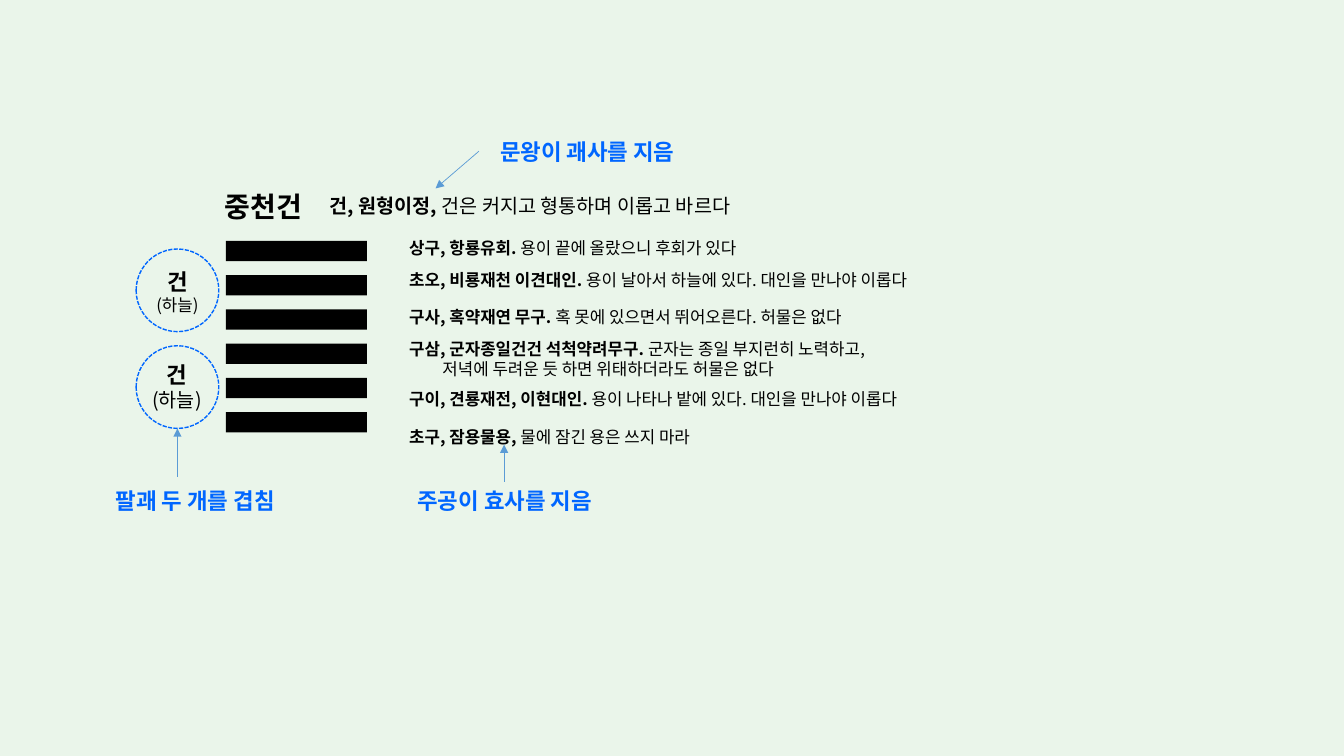
from lxml import etree
from pptx import Presentation
from pptx.dml.color import RGBColor
from pptx.enum.dml import MSO_LINE
from pptx.enum.shapes import MSO_CONNECTOR, MSO_SHAPE
from pptx.enum.text import MSO_AUTO_SIZE, PP_ALIGN
from pptx.oxml.ns import qn
from pptx.util import Inches, Pt

RECTANGLE, OVAL = MSO_SHAPE.RECTANGLE, MSO_SHAPE.OVAL
STRAIGHT = MSO_CONNECTOR.STRAIGHT
DASH = MSO_LINE.SQUARE_DOT
GROW = MSO_AUTO_SIZE.SHAPE_TO_FIT_TEXT
LEFT, CENTER = PP_ALIGN.LEFT, PP_ALIGN.CENTER

BLACK = RGBColor(0x00, 0x00, 0x00)
BLUE = RGBColor(0x00, 0x66, 0xFF)
ARROW_BLUE = RGBColor(0x5B, 0x9B, 0xD5)
PALE_GREEN = RGBColor(0xEA, 0xF5, 0xEA)


class HexagramSlide:
    font_name = "Noto Sans CJK KR"
    line_height = 1.2

    def __init__(self, slide):
        self.slide = slide
        slide.background.fill.solid()
        slide.background.fill.fore_color.rgb = PALE_GREEN

    def bar(self, left, top, width, height):
        bar = self.slide.shapes.add_shape(
            RECTANGLE, Inches(left), Inches(top), Inches(width), Inches(height))
        bar.shadow.inherit = False
        bar.fill.solid()
        bar.fill.fore_color.rgb = BLACK
        bar.line.fill.background()

    def ring(self, left, top, diameter):
        ring = self.slide.shapes.add_shape(
            OVAL, Inches(left), Inches(top), Inches(diameter), Inches(diameter))
        ring.shadow.inherit = False
        ring.fill.background()
        ring.line.color.rgb = BLUE
        ring.line.width = Pt(1)
        ring.line.dash_style = DASH

    def text(self, left, top, width, height, lines, color=BLACK, align=LEFT, indent=0):
        """Write lines of (text, size, bold) runs; indent applies after the first line."""
        box = self.slide.shapes.add_textbox(
            Inches(left), Inches(top), Inches(width), Inches(height))
        frame = box.text_frame
        frame.word_wrap = True
        frame.auto_size = GROW
        for number, runs in enumerate(lines):
            paragraph = frame.add_paragraph() if number else frame.paragraphs[0]
            paragraph.alignment = align
            paragraph.line_spacing = Pt(self.line_height * runs[0][1])
            if number and indent:
                paragraph._p.get_or_add_pPr().set("marL", str(Inches(indent)))
            for words, size, bold in runs:
                run = paragraph.add_run()
                run.text = words
                run.font.name = self.font_name
                run.font.size = Pt(size)
                run.font.bold = bold
                run.font.color.rgb = color
                east_asian = etree.SubElement(run._r.get_or_add_rPr(), qn("a:ea"))
                east_asian.set("typeface", self.font_name)

    def note(self, left, top, width, words):
        self.text(left, top, width, 0.37, [[(words, 16, True)]], BLUE, CENTER)

    def arrow(self, x1, y1, x2, y2):
        arrow = self.slide.shapes.add_connector(
            STRAIGHT, Inches(x1), Inches(y1), Inches(x2), Inches(y2))
        arrow.line.color.rgb = ARROW_BLUE
        arrow.line.width = Pt(0.5)
        head = etree.SubElement(arrow.line._get_or_add_ln(), qn("a:tailEnd"))
        head.set("type", "triangle")
        etree.SubElement(arrow._element.spPr, qn("a:effectLst"))


LINE_TEXTS = [
    (2.31, 3.84, "상구, 항룡유회. ", ["용이 끝에 올랐으니 후회가 있다"]),
    (2.63, 5.79, "초오, 비룡재천 이견대인. ", ["용이 날아서 하늘에 있다. 대인을 만나야 이롭다"]),
    (2.99, 5.02, "구사, 혹약재연 무구. ", ["혹 못에 있으면서 뛰어오른다. 허물은 없다"]),
    (3.31, 5.29, "구삼, 군자종일건건 석척약려무구. ",
     ["군자는 종일 부지런히 노력하고,", "저녁에 두려운 듯 하면 위태하더라도 허물은 없다"]),
    (3.81, 5.63, "구이, 견룡재전, 이현대인. ", ["용이 나타나 밭에 있다. 대인을 만나야 이롭다"]),
    (4.18, 3.34, "초구, 잠용물용, ", ["물에 잠긴 용은 쓰지 마라"]),
]
TRIGRAMS = [
    (1.44, 2.61, 0.64, 0.57, 12, 2.47),
    (1.4, 3.53, 0.71, 0.61, 14, 3.43),
]
NOTES = [
    (0.93, 4.78, 2.01, "팔괘 두 개를 겹침"),
    (4.75, 1.32, 2.15, "문왕이 괘사를 지음"),
    (3.93, 4.78, 2.15, "주공이 효사를 지음"),
]
ARROWS = [(4.75, 1.5, 4.32, 1.87), (1.76, 4.73, 1.76, 4.25), (5, 4.78, 5, 4.41)]
BAR_TOP, BAR_PITCH = 2.39, 0.34


def main():
    presentation = Presentation()
    presentation.slide_width = Inches(13.33)
    presentation.slide_height = Inches(7.5)
    page = HexagramSlide(presentation.slides.add_slide(presentation.slide_layouts[6]))

    for row in range(len(LINE_TEXTS)):
        page.bar(2.24, BAR_TOP + row * BAR_PITCH, 1.4, 0.2)
    page.text(2.13, 1.83, 1.04, 0.44, [[("중천건", 20, True)]])
    page.text(3.17, 1.87, 4.64, 0.34, [[
        ("건, 원형이정, ", 14, True), ("건은 커지고 형통하며 이롭고 바르다", 14, False)]])

    for left, top, width, height, size, ring_top in TRIGRAMS:
        page.text(left, top, width, height,
                  [[("건", 16, True)], [("(하늘)", size, False)]], align=CENTER)
        page.ring(1.35, ring_top, 0.82)

    for top, width, statement, meanings in LINE_TEXTS:
        lines = [[(meaning, 12, False)] for meaning in meanings]
        lines[0].insert(0, (statement, 12, True))
        page.text(3.96, top, width, 0.1 + 0.2 * len(lines), lines, indent=0.33)

    for note in NOTES:
        page.note(*note)
    for arrow in ARROWS:
        page.arrow(*arrow)

    presentation.save("out.pptx")


if __name__ == "__main__":
    main()
